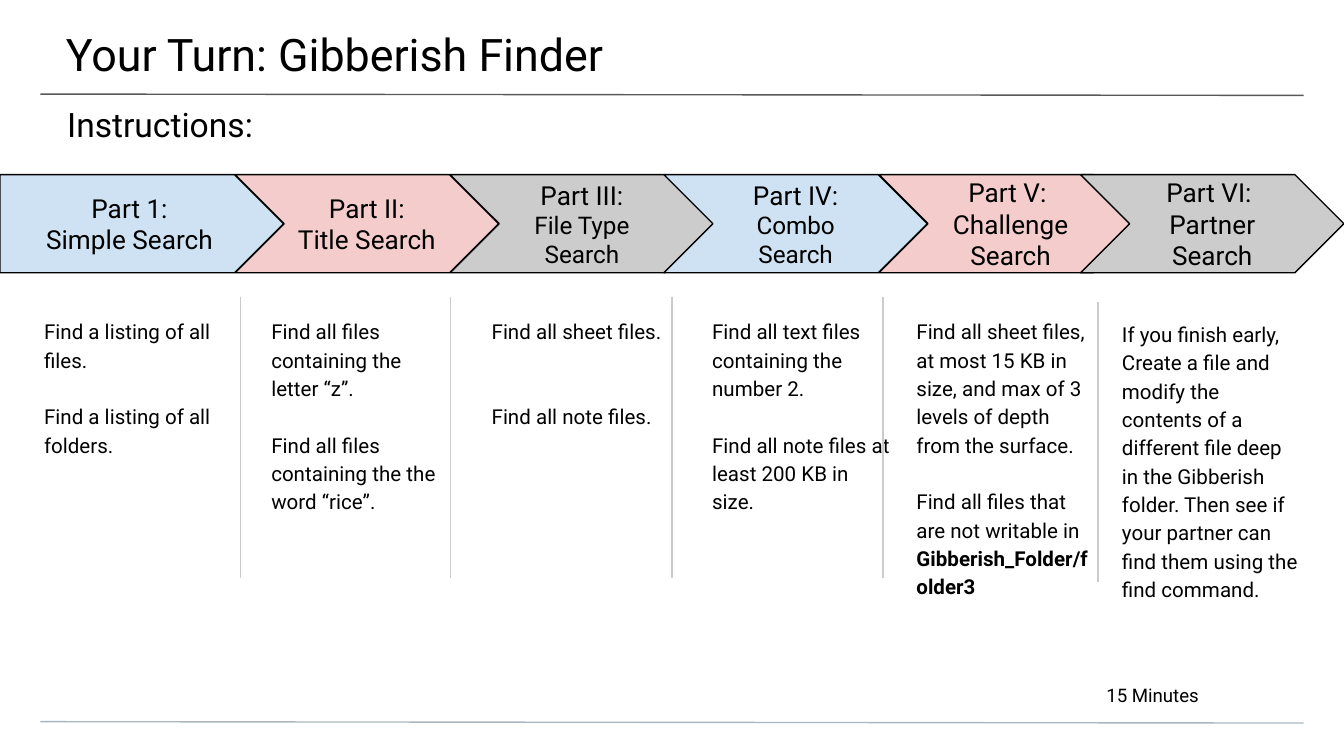
from lxml.etree import SubElement
from pptx import Presentation
from pptx.dml.color import RGBColor
from pptx.enum.shapes import MSO_CONNECTOR as CONNECTOR, MSO_SHAPE as SHAPE
from pptx.enum.text import MSO_ANCHOR as ANCHOR, MSO_AUTO_SIZE as AUTO_SIZE, PP_ALIGN as ALIGN
from pptx.oxml.ns import qn
from pptx.util import Inches, Pt

COLORS = {
    "text": "000000", "blue": "CFE2F3", "pink": "F4CCCC", "gray": "CCCCCC",
    "header_rule": "595959", "footer_rule": "A9B7C0",
}
FONT = "Roboto"
BLANK_LINE = 15.2  # height of one body line, in points
EVEN_INSETS = (0.1, 0.1, 0.1, 0.1)

# label, name, name size, fill, arrow left and width, body left, top and width,
# blank lines between paragraphs, paragraphs as (plain text, bold text)
PARTS = [
    ("Part 1:", "Simple Search", 14, "blue", 0, 2.11, 0.23, 2.25, 1.6, 1,
     [("Find a listing of all files.", ""),
      ("Find a listing of all folders.", "")]),
    ("Part II:", "Title Search", 14, "pink", 1.75, 1.96, 1.92, 2.25, 1.55, 1,
     [("Find all files containing the letter “z”.", ""),
      ("Find all files containing the the word “rice”.", "")]),
    ("Part III:", "File Type Search", 13, "gray", 3.35, 1.96, 3.56, 2.25, 1.55, 2,
     [("Find all sheet files.", ""),
      ("Find all note files.", "")]),
    ("Part IV:", "Combo Search", 13, "blue", 4.94, 1.96, 5.2, 2.25, 1.55, 1,
     [("Find all text files containing the number 2.", ""),
      ("Find all note files at least 200 KB in size.", "")]),
    ("Part V: ", "Challenge Search", 14, "pink", 6.54, 1.96, 6.72, 2.25, 1.55, 1,
     [("Find all sheet files, at most 15 KB in size, and max of 3 levels of "
       "depth from the surface.", ""),
      ("Find all files that are not writable in ", "Gibberish_Folder/folder3")]),
    ("Part VI: ", "Partner Search", 14, "gray", 8.04, 1.96, 8.25, 2.27, 1.54, 0,
     [("If you finish early,", ""),
      ("Create a file and modify the contents of a different file deep in the "
       "Gibberish folder. Then see if your partner can find them using the "
       "find command.", "")]),
]

# x, top, bottom
DIVIDERS = [(x, 2.21, 4.3) for x in (1.79, 3.35, 5, 6.57)] + [(8.17, 2.25, 4.33)]


def rgb(name):
    return RGBColor.from_string(COLORS[name])


def set_frame(shape, insets, anchor=ANCHOR.TOP):
    frame = shape.text_frame
    left, top, right, bottom = map(Inches, insets)
    settings = {
        "word_wrap": True, "auto_size": AUTO_SIZE.NONE, "vertical_anchor": anchor,
        "margin_left": left, "margin_top": top,
        "margin_right": right, "margin_bottom": bottom,
    }
    for name, value in settings.items():
        setattr(frame, name, value)
    return frame


def add_span(para, text, size, bold=False):
    span = para.add_run()
    span.text = text
    for name, value in {"name": FONT, "size": Pt(size), "bold": bold}.items():
        setattr(span.font, name, value)
    span.font.color.rgb = rgb("text")


def get_para(frame, index):
    return frame.add_paragraph() if index else frame.paragraphs[0]


def fill_heading(box, text, size, insets, align=ALIGN.LEFT):
    para = set_frame(box, insets).paragraphs[0]
    para.alignment = align
    add_span(para, text, size)


def add_title(page, text):
    title = page.shapes.title
    place = {"left": -0.01, "top": 0, "width": 10.03, "height": 0.58}
    for name, value in place.items():
        setattr(title, name, Inches(value))
    fill_heading(title, text, 24, (0.5, 0.2, 0.3, 0.1))


def add_box(page, *place):
    return page.shapes.add_textbox(*map(Inches, place))


def add_rule(page, start_x, start_y, end_x, end_y, color):
    rule = page.shapes.add_connector(
        CONNECTOR.STRAIGHT, *map(Inches, (start_x, start_y, end_x, end_y)))
    rule.line.color.rgb = rgb(color)
    rule.line.width = Pt(0.75)
    SubElement(rule._element.spPr, qn("a:effectLst"))


def add_arrow(page, kind, left, width, color, lines):
    arrow = page.shapes.add_shape(kind, *map(Inches, (left, 1.3, width, 0.73)))
    arrow.shadow.inherit = False
    arrow.fill.solid()
    arrow.fill.fore_color.rgb = rgb(color)
    arrow.line.color.rgb = rgb("text")
    arrow.line.width = Pt(0.75)
    frame = set_frame(arrow, EVEN_INSETS, ANCHOR.MIDDLE)
    for index, (text, size) in enumerate(lines):
        para = get_para(frame, index)
        para.alignment = ALIGN.CENTER
        add_span(para, text, size)


def add_body(page, left, top, width, gap_lines, paragraphs):
    frame = set_frame(add_box(page, left, top, width, 2.57), EVEN_INSETS)
    for index, (plain, bold) in enumerate(paragraphs):
        para = get_para(frame, index)
        para.line_spacing = 1.15
        if index:
            para.space_before = Pt(gap_lines * BLANK_LINE)
        add_span(para, plain, 11)
        if bold:
            add_span(para, bold, 11, bold=True)


def main():
    deck = Presentation()
    deck.slide_width = Inches(10)
    deck.slide_height = deck.slide_width * 9 // 16
    page = deck.slides.add_slide(deck.slide_layouts[5])

    # Header and footer
    add_rule(page, 0.3, 5.37, 9.7, 5.38, "footer_rule")
    add_rule(page, 0.3, 0.7, 9.7, 0.71, "header_rule")
    add_title(page, "Your Turn: Gibberish Finder")
    fill_heading(add_box(page, 0, 0.67, 10, 0.4), "Instructions:", 18,
                 (0.5, 0.1, 0.5, 0))
    fill_heading(add_box(page, -0.01, 5.08, 10.03, 0.29), "15 Minutes", 10,
                 (1.2, 0.01, 1.1, 0), ALIGN.RIGHT)

    # Arrow and instructions for each part
    for index, part in enumerate(PARTS):
        label, name, size, color, arrow_left, arrow_width, *body = part
        kind = SHAPE.CHEVRON if index else SHAPE.PENTAGON
        add_arrow(page, kind, arrow_left, arrow_width, color,
                  [(label, 14), (name, size)])
        add_body(page, *body)

    # Column dividers
    for x, top, bottom in DIVIDERS:
        add_rule(page, x, top, x, bottom, "gray")

    deck.save("out.pptx")


if __name__ == "__main__":
    main()
